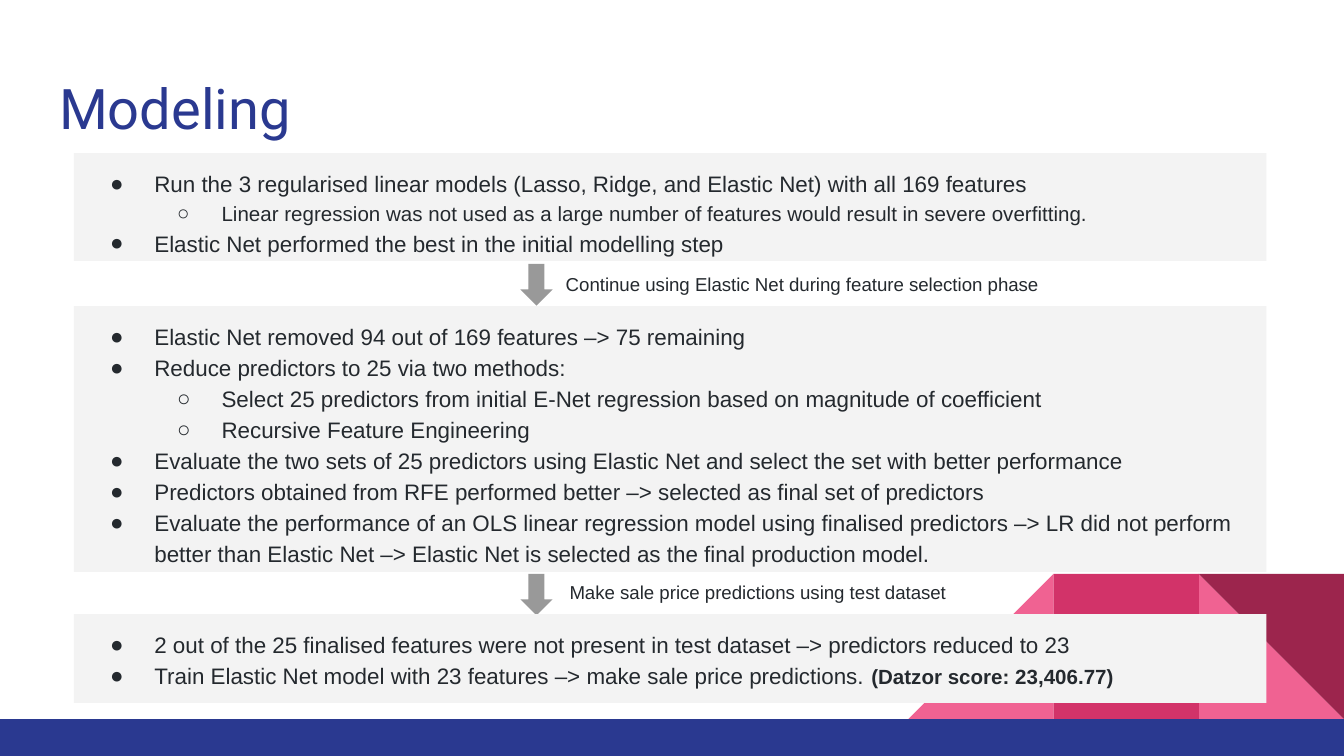
from lxml import etree
from pptx import Presentation
from pptx.dml.color import RGBColor
from pptx.enum import shapes, text
from pptx.oxml import ns
from pptx.util import Pt

NAVY, INK, PALE, GREY = "2A3990", "24292E", "F3F3F3", "999999"
PINK, ROSE, WINE = "F06292", "D23369", "9C254D"
KIND = shapes.MSO_SHAPE
MARKS = "●○"


def paint(color, value):
    color.rgb = RGBColor.from_string(value)


def write(para, words, size=12, color=INK, font="Arial", bold=False):
    run = para.add_run()
    run.text = words
    run.font.size, run.font.name, run.font.bold = Pt(size), font, bold
    paint(run.font.color, color)


def mark(para, level):
    """Give the paragraph a hanging bullet for its level."""
    para.level = level
    para.line_spacing = 1.15
    props = para._p.get_or_add_pPr()
    props.set("marL", str(Pt(36 * (level + 1))))
    props.set("indent", str(-Pt(23.75)))
    tint = etree.SubElement(props, ns.qn("a:buClr"))
    etree.SubElement(tint, ns.qn("a:srgbClr"), val=INK)
    etree.SubElement(props, ns.qn("a:buFont"), typeface="Arial")
    etree.SubElement(props, ns.qn("a:buChar"), char=MARKS[level])


class Deck:
    def __init__(self, wide, high):
        self.show = Presentation()
        self.show.slide_width, self.show.slide_height = Pt(wide), Pt(high)
        self.slide = self.show.slides.add_slide(self.show.slide_layouts[5])

    def frame(self, shape):
        """Set margins, wrap and anchor; return the first paragraph."""
        body = shape.text_frame
        body.margin_left = body.margin_right = Pt(7.2)
        body.margin_top = body.margin_bottom = Pt(7.2)
        body.word_wrap = True
        body.auto_size = text.MSO_AUTO_SIZE.NONE
        body.vertical_anchor = text.MSO_ANCHOR.TOP
        para = body.paragraphs[0]
        para.alignment = text.PP_ALIGN.LEFT
        return para

    def title(self, words, left, top, wide, high):
        shape = self.slide.shapes.title
        shape.left, shape.top = Pt(left), Pt(top)
        shape.width, shape.height = Pt(wide), Pt(high)
        write(self.frame(shape), words, size=30, color=NAVY, font="Roboto")

    def shape(self, kind, left, top, wide, high, fill, flip=False, turn=0):
        shape = self.slide.shapes.add_shape(
            kind, Pt(left), Pt(top), Pt(wide), Pt(high))
        shape.shadow.inherit = False
        shape.fill.solid()
        paint(shape.fill.fore_color, fill)
        shape.line.fill.background()
        shape.rotation = turn
        if flip:
            shape._element.spPr.get_or_add_xfrm().set("flipH", "1")
        return shape

    def panel(self, top, high, items):
        """Draw a box of bullets; an item is a level and its runs."""
        shape = self.shape(KIND.RECTANGLE, 39.6, top, 638.9, high, PALE)
        para = self.frame(shape)
        for i, (level, *runs) in enumerate(items):
            if i:
                para = shape.text_frame.add_paragraph()
                para.alignment = text.PP_ALIGN.LEFT
            mark(para, level)
            for words, style in runs:
                write(para, words, **style)

    def step(self, top, left, label, words):
        """Draw a down arrow and the label beside it."""
        box = self.slide.shapes.add_textbox(
            Pt(left), Pt(label), Pt(298.8), Pt(22.3))
        para = self.frame(box)
        para.space_after = Pt(12)
        write(para, words, size=10)
        self.shape(KIND.DOWN_ARROW, 278.8, top, 17.2, 22.3, GREY)


def main():
    deck = Deck(720, 405)

    side, base = 77.8, 385.2
    corner = KIND.RIGHT_TRIANGLE
    for back, kind, fill, flip, turn in [
        (1, corner, PINK, False, 0),
        (3, corner, PINK, True, 0),
        (2, KIND.RECTANGLE, ROSE, False, 0),
        (1, corner, WINE, False, 180),
    ]:
        deck.shape(kind, 720 - back * side, base - side, side, side,
                   fill, flip, turn)
    deck.shape(KIND.RECTANGLE, 0, base, 720, 405 - base, NAVY)

    deck.title("Modeling", 24.5, 32.4, 671, 47.5)

    small = {"size": 11}
    deck.panel(82, 57.8, [
        (0, ("Run the 3 regularised linear models (Lasso, Ridge, and Elastic Net) "
             "with all 169 features", {})),
        (1, ("Linear regression was not used as a large number of features "
             "would result in severe overfitting.", small)),
        (0, ("Elastic Net performed the best in the initial modelling step", {})),
    ])
    deck.step(141.4, 296, 139,
              "Continue using Elastic Net during feature selection phase")
    deck.panel(164, 142.4, [
        (0, ("Elastic Net removed 94 out of 169 features –> 75 remaining", {})),
        (0, ("Reduce predictors to 25 via two methods:", {})),
        (1, ("Select 25 predictors from initial E-Net regression based on "
             "magnitude of coefficient", {})),
        (1, ("Recursive Feature Engineering", {})),
        (0, ("Evaluate the two sets of 25 predictors using Elastic Net and "
             "select the set with better performance", {})),
        (0, ("Predictors obtained from RFE performed better –> selected as "
             "final set of predictors", {})),
        (0, ("Evaluate the performance of an OLS linear regression model using "
             "finalised predictors –> LR did not perform better than Elastic Net "
             "–> Elastic Net is selected as the final production model.", {})),
    ])
    deck.step(307.4, 298, 304, "Make sale price predictions using test dataset")
    deck.panel(329, 47.6, [
        (0, ("2 out of the 25 finalised features were not present in test "
             "dataset –> predictors reduced to 23", {})),
        (0, ("Train Elastic Net model with 23 features –> make sale price "
             "predictions. ", {}),
            ("(Datzor score: 23,406.77)", {"size": 11, "bold": True})),
    ])

    deck.show.save("out.pptx")


if __name__ == "__main__":
    main()
